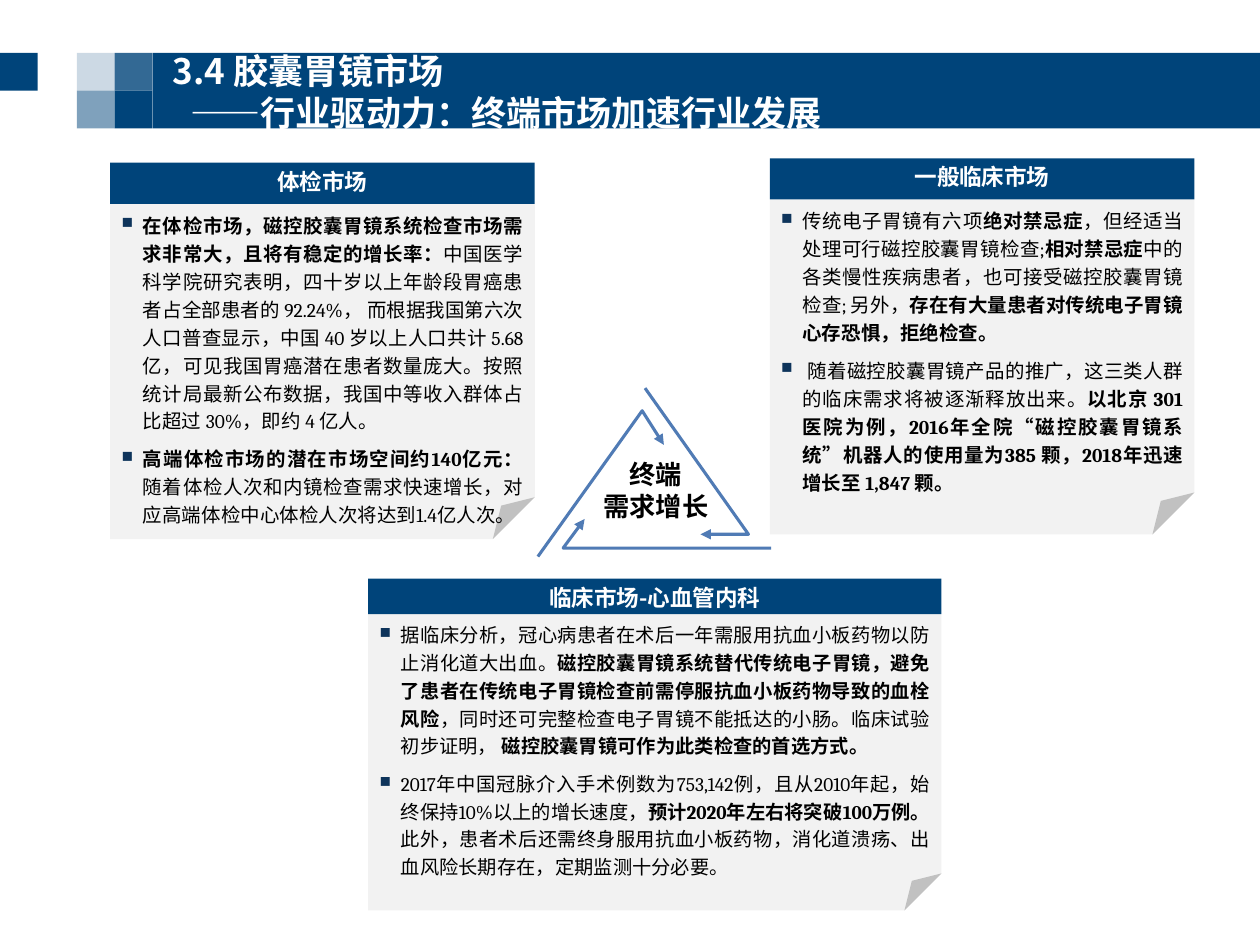
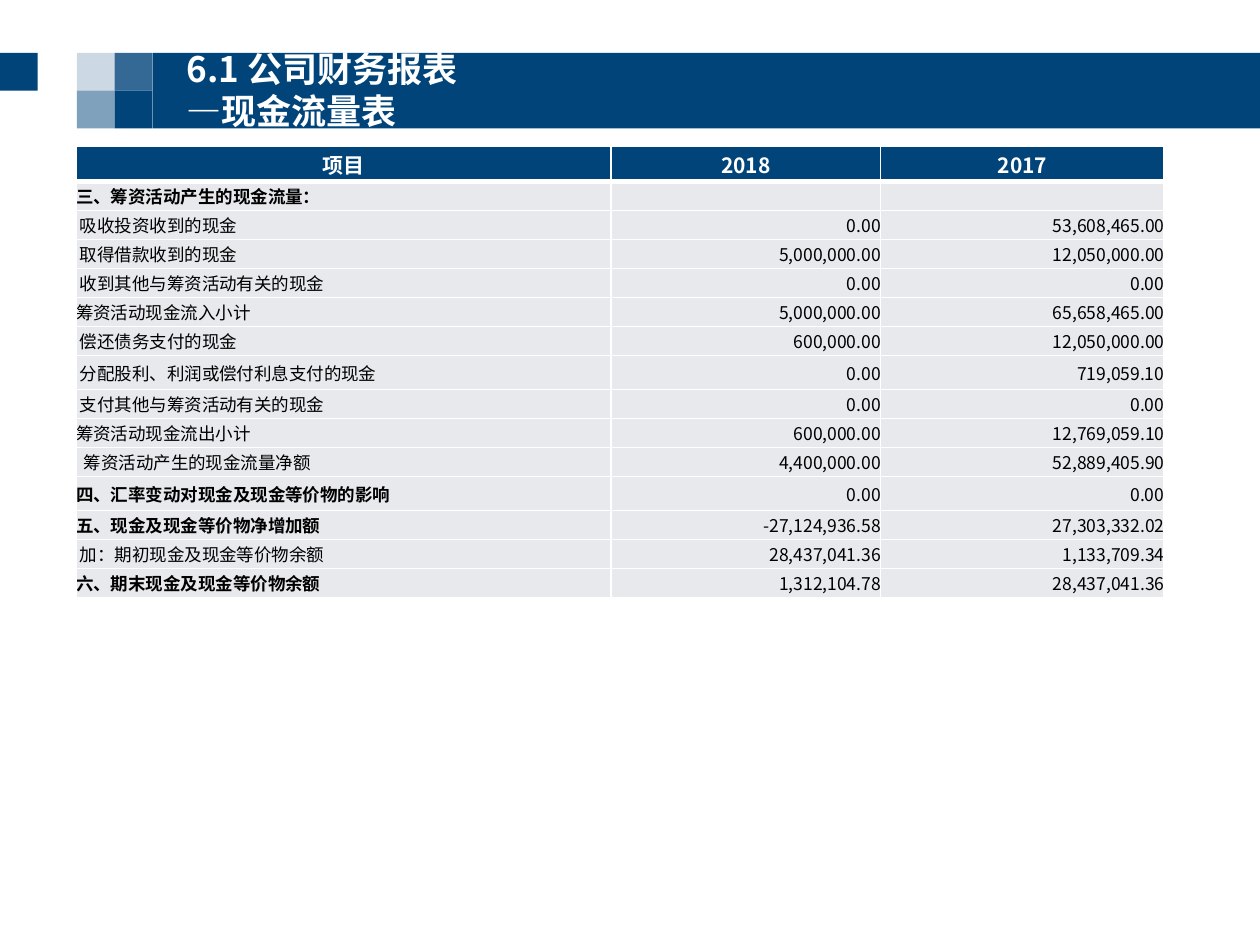
from lxml.etree import SubElement as Sub
from pptx import Presentation
from pptx.dml.color import RGBColor
from pptx.enum.shapes import MSO_SHAPE as Shape
from pptx.enum.text import MSO_ANCHOR as Anchor, PP_ALIGN as Align
from pptx.oxml.ns import qn
from pptx.util import Pt

NAVY = RGBColor(0x00, 0x44, 0x7A)
MARK = RGBColor(0x0E, 0x34, 0x5B)
BLUE = RGBColor(0x50, 0x7B, 0xB5)
PALE = RGBColor(0xF2, 0xF2, 0xF2)
GREY = RGBColor(0xE7, 0xE9, 0xEC)
WHITE = RGBColor(0xFF, 0xFF, 0xFF)
BLACK = RGBColor(0x00, 0x00, 0x00)
SANS, SERIF = "Noto Sans CJK SC", "Cambria"
INSET = (6.5, 2.9, 6.5, 2.9)

# Band: tile size, top, and tiles as (left, row, opacity)
TILE, TOP = 21.6, 30.2
TILES = [(0, 0, 100), (44, 0, 20), (44, 1, 50), (65.6, 0, 80), (65.6, 1, 100)]

# Titles: left, top, and lines as (text, indent)
DRIVE = (92.2, 25.2, [("3.4 胶囊胃镜市场", 0),
                      ("——行业驱动力：终端市场加速行业发展", 10.3)])
FLOW = (100.1, 24.5, [("6.1 公司财务报表", 0), ("—现金流量表", 0)])

# Cards: heading, (left, top, width, head height, body height), size,
# paragraphs of (text, bold)
CARDS = [
    ("体检市场", (63, 92.9, 242.6, 23.7, 191.5), 11.1, [
        [("在体检市场，磁控胶囊胃镜系统检查市场需求非常大，且将有稳定的增长率：", True),
         ("中国医学科学院研究表明，四十岁以上年龄段胃癌患者占全部患者的 92.24%， "
          "而根据我国第六次人口普查显示，中国 40 岁以上人口共计 5.68 亿，"
          "可见我国胃癌潜在患者数量庞大。按照统计局最新公布数据，"
          "我国中等收入群体占比超过 30%，即约 4 亿人。", False)],
        [("高端体检市场的潜在市场空间约140亿元：", True),
         ("随着体检人次和内镜检查需求快速增长，"
          "对应高端体检中心体检人次将达到1.4亿人次。", False)],
    ]),
    ("一般临床市场", (439.9, 90.5, 242.6, 23.4, 191.5), 11.1, [
        [("传统电子胃镜有六项", False), ("绝对禁忌症", True),
         ("，但经适当处理可行磁控胶囊胃镜检查;", False), ("相对禁忌症", True),
         ("中的各类慢性疾病患者，也可接受磁控胶囊胃镜检查; 另外，", False),
         ("存在有大量患者对传统电子胃镜心存恐惧，拒绝检查。", True)],
        [(" 随着磁控胶囊胃镜产品的推广，这三类人群的临床需求将被逐渐释放出来。", False),
         ("以北京 301 医院为例，2016年全院“磁控胶囊胃镜系统”机器人的使用量为385 颗，"
          "2018年迅速增长至 1,847 颗。", True)],
    ]),
    ("临床市场-心血管内科", (210.4, 330.7, 327.6, 20.2, 169.4), 11, [
        [("据临床分析，冠心病患者在术后一年需服用抗血小板药物以防止消化道大出血。", False),
         ("磁控胶囊胃镜系统替代传统电子胃镜，"
          "避免了患者在传统电子胃镜检查前需停服抗血小板药物导致的血栓风险", True),
         ("，同时还可完整检查电子胃镜不能抵达的小肠。临床试验初步证明， ", False),
         ("磁控胶囊胃镜可作为此类检查的首选方式。", True)],
        [("2017年中国冠脉介入手术例数为753,142例，且从2010年起，"
          "始终保持10%以上的增长速度，", False),
         ("预计2020年左右将突破100万例。", True),
         ("此外，患者术后还需终身服用抗血小板药物，消化道溃疡、出血风险长期存在，"
          "定期监测十分必要。", False)],
    ]),
]
ARROWS = [
    [(307.4, 318), (367, 234.7), (379.4, 254.2)],
    [(440.6, 313.2), (321.8, 313.2), (334.1, 296.6)],
    [(368.6, 221.8), (427.7, 305.3), (400.3, 305.3)],
]
CORE = ["终端", "需求增长"]

# Table: rows of (item, indent level, bold, 2018, 2017)
HEADS = ["项目", "2018", "2017"]
ROWS = [
    ("三、筹资活动产生的现金流量：", 0, True, "", ""),
    ("吸收投资收到的现金", 1, False, "0.00", "53,608,465.00"),
    ("取得借款收到的现金", 1, False, "5,000,000.00", "12,050,000.00"),
    ("收到其他与筹资活动有关的现金", 1, False, "0.00", "0.00"),
    ("筹资活动现金流入小计", 0, False, "5,000,000.00", "65,658,465.00"),
    ("偿还债务支付的现金", 1, False, "600,000.00", "12,050,000.00"),
    ("分配股利、利润或偿付利息支付的现金", 1, False, "0.00", "719,059.10"),
    ("支付其他与筹资活动有关的现金", 1, False, "0.00", "0.00"),
    ("筹资活动现金流出小计", 0, False, "600,000.00", "12,769,059.10"),
    ("筹资活动产生的现金流量净额", 2, False, "4,400,000.00", "52,889,405.90"),
    ("四、汇率变动对现金及现金等价物的影响", 0, True, "0.00", "0.00"),
    ("五、现金及现金等价物净增加额", 0, True, "-27,124,936.58", "27,303,332.02"),
    ("加：期初现金及现金等价物余额", 1, False, "28,437,041.36", "1,133,709.34"),
    ("六、期末现金及现金等价物余额", 0, True, "1,312,104.78", "28,437,041.36"),
]
COLS = [305.6, 154.2, 162]
HEAD_H, ROW_H, TALL_H = 20.2, 16.6, 19.4
TALL = (7, 11)
STEP = 2.2


def style(para, size, color, bold=None, name=SANS):
    font = para.font
    font.size, font.bold, font.name = Pt(size), bold, name
    font.color.rgb = color
    Sub(font._rPr, qn("a:ea"), typeface=SANS)


def indent(para, left, first):
    props = para._p.get_or_add_pPr()
    props.set("marL", str(Pt(left)))
    props.set("indent", str(Pt(first)))
    return props


def frame(shape, inset=INSET, anchor=Anchor.TOP):
    text = shape.text_frame
    text.word_wrap = True
    text.vertical_anchor = anchor
    (text.margin_left, text.margin_top,
     text.margin_right, text.margin_bottom) = map(Pt, inset)
    return text


def fill_paras(text, items):
    """Yield each item with its paragraph, adding paragraphs as needed."""
    for i, item in enumerate(items):
        yield (text.add_paragraph() if i else text.paragraphs[0]), item


def block(slide, kind, box, color, alpha=100):
    shape = slide.shapes.add_shape(kind, *map(Pt, box))
    shape.shadow.inherit = False
    shape.line.fill.background()
    shape.fill.solid()
    shape.fill.fore_color.rgb = color
    if alpha < 100:
        tint = shape._element.spPr.find(".//" + qn("a:srgbClr"))
        Sub(tint, qn("a:alpha"), val=str(alpha * 1000))
    return shape


def start(deck, title):
    """Add a slide with the shared band."""
    slide = deck.slides.add_slide(deck.slide_layouts[6])
    for left, row, alpha in TILES:
        block(slide, Shape.RECTANGLE, (left, TOP + row * TILE, TILE, TILE), NAVY, alpha)
    block(slide, Shape.RECTANGLE, (87.2, TOP, 632.8, 2 * TILE), NAVY)
    left, top, lines = title
    box = slide.shapes.add_textbox(Pt(left), Pt(top), Pt(622), Pt(54.7))
    for para, (line, shift) in fill_paras(frame(box), lines):
        para.text = line
        indent(para, shift, 0)
        style(para, 20, WHITE, True)
    return slide


def card(slide, head, box, size, paras):
    left, top, width, high, deep = box
    body = block(slide, Shape.FOLDED_CORNER, (left, top + high, width, deep), PALE)
    fold = body._element.spPr.find(".//" + qn("a:avLst"))
    Sub(fold, qn("a:gd"), name="adj", fmla="val 12500")
    for i, (para, runs) in enumerate(fill_paras(frame(body), paras)):
        para.alignment = Align.JUSTIFY
        para.line_spacing = 1.2
        para.space_before = Pt(2.8 if i else 0)
        para.space_after = Pt(2.8)
        props = indent(para, 12.2, -12.2)
        Sub(Sub(props, qn("a:buClr")), qn("a:srgbClr"), val=str(MARK))
        Sub(props, qn("a:buSzPct"), val="80000")
        Sub(props, qn("a:buChar"), char="■")
        style(para, size, BLACK, name=SERIF)
        for words, bold in runs:
            run = para.add_run()
            run.text, run.font.bold = words, bold
    bar = block(slide, Shape.RECTANGLE, (left, top, width, high), NAVY)
    para = frame(bar).paragraphs[0]
    para.text, para.alignment = head, Align.CENTER
    style(para, 12.9, WHITE, True)


def arrow(slide, points):
    first, *rest = [(Pt(x), Pt(y)) for x, y in points]
    path = slide.shapes.build_freeform(*first, scale=1.0)
    path.add_line_segments(rest, close=False)
    shape = path.convert_to_shape()
    shape.shadow.inherit = False
    shape.fill.background()
    shape.line.color.rgb = BLUE
    shape.line.width = Pt(1.75)
    Sub(shape._element.spPr.find(qn("a:ln")), qn("a:tailEnd"), type="triangle")


def edge(cell, base):
    """Draw white cell borders, the lower one base points wide."""
    props = cell._tc.get_or_add_tcPr()
    for i, (side, width) in enumerate(zip("LRTB", (1, 1, 1, base))):
        line = Sub(props, qn("a:ln" + side), w=str(Pt(width)))
        Sub(Sub(line, qn("a:solidFill")), qn("a:srgbClr"), val=str(WHITE))
        props.insert(i, line)


def put(cell, words, size, color, bold, align, back, inset, base=1):
    cell.fill.solid()
    cell.fill.fore_color.rgb = back
    edge(cell, base)
    cell.vertical_anchor = Anchor.MIDDLE
    (cell.margin_left, cell.margin_top,
     cell.margin_right, cell.margin_bottom) = map(Pt, inset)
    para = cell.text_frame.paragraphs[0]
    para.alignment = align
    if words:
        para.text = words
    else:
        para._p.get_or_add_endParaRPr().set("sz", str(size * 100))
    style(para, size, color, bold)


def market(deck):
    slide = start(deck, DRIVE)
    for item in CARDS:
        card(slide, *item)
    for points in ARROWS:
        arrow(slide, points)
    core = slide.shapes.add_textbox(Pt(308.9), Pt(265.7), Pt(131.8), Pt(28.8))
    for para, line in fill_paras(frame(core, anchor=Anchor.MIDDLE), CORE):
        para.text, para.alignment = line, Align.CENTER
        style(para, 15, BLACK, True)


def cash(deck):
    slide = start(deck, FLOW)
    highs = [HEAD_H] + [TALL_H if i in TALL else ROW_H
                        for i in range(1, len(ROWS) + 1)]
    grid = slide.shapes.add_table(len(highs), len(COLS), Pt(43.5), Pt(83.5),
                                  Pt(sum(COLS)), Pt(sum(highs))).table
    for col, width in zip(grid.columns, COLS):
        col.width = Pt(width)
    for row, high in zip(grid.rows, highs):
        row.height = Pt(high)
    for c, head in enumerate(HEADS):
        put(grid.cell(0, c), head, 12, WHITE, True, Align.CENTER, NAVY,
            (0.7, 0.7, 0.7, 0), 3)
    for r, (item, level, bold, *sums) in enumerate(ROWS, 1):
        put(grid.cell(r, 0), item, 10, BLACK, bold, Align.LEFT, GREY,
            (level * STEP, 0, 0, 0))
        for c, value in enumerate(sums, 1):
            put(grid.cell(r, c), value, 10, BLACK, False, Align.RIGHT, GREY, (0, 0, 0, 0))


def main():
    deck = Presentation()
    deck.slide_width, deck.slide_height = Pt(720), Pt(540)
    market(deck)
    cash(deck)
    deck.save("out.pptx")


if __name__ == "__main__":
    main()
